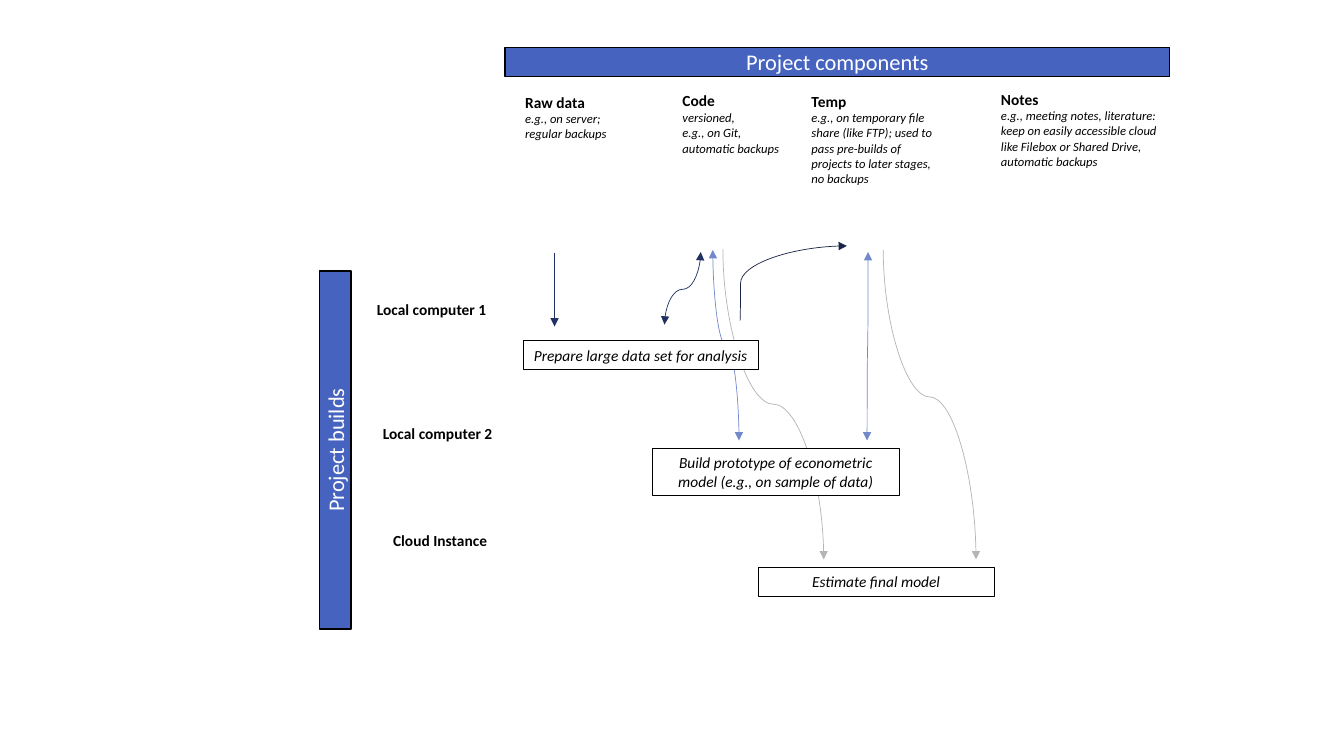
from lxml import etree
from pptx import Presentation
from pptx.dml.color import RGBColor
from pptx.enum.shapes import MSO_CONNECTOR as LINK, MSO_SHAPE as SHAPE
from pptx.enum.text import MSO_ANCHOR as ANCHOR, MSO_AUTO_SIZE as FIT, PP_ALIGN as ALIGN
from pptx.oxml.ns import qn
from pptx.util import Inches, Pt

COLORS = {
    "bar": "4563BF", "white": "FFFFFF", "black": "000000",
    "navy": "213161", "midnight": "192446", "blue": "7289CC", "grey": "B5B5B5",
}


def color(name):
    return RGBColor.from_string(COLORS[name])


def add_box(slide, left, top, width, height, fill="white", border=None):
    box = slide.shapes.add_shape(
        SHAPE.RECTANGLE, Inches(left), Inches(top), Inches(width), Inches(height))
    box.shadow.inherit = False
    box.fill.solid()
    box.fill.fore_color.rgb = color(fill)
    if border:
        box.line.color.rgb = color("black")
        box.line.width = Pt(border)
    else:
        box.line.fill.background()
    return box


def write(box, lines, wrap=True, anchor=ANCHOR.TOP, fit=FIT.SHAPE_TO_FIT_TEXT):
    frame = box.text_frame
    frame.word_wrap = wrap
    frame.vertical_anchor = anchor
    frame.auto_size = fit
    for index, (text, size, bold, italic, ink, align) in enumerate(lines):
        line = frame.add_paragraph() if index else frame.paragraphs[0]
        line.text = text
        line.alignment = align
        line.font.name = "Calibri"
        line.font.size = Pt(size)
        line.font.bold = bold
        line.font.italic = italic
        line.font.color.rgb = color(ink)


def heading(text):
    return text, 11, True, False, "black", ALIGN.LEFT


def detail(text):
    return text, 9, False, True, "black", ALIGN.LEFT


def add_bar(slide, title, left, top, width, height):
    bar = add_box(slide, left, top, width, height, "bar", 1)
    write(bar, [(title, 16, False, False, "white", ALIGN.CENTER)],
          anchor=ANCHOR.MIDDLE, fit=FIT.NONE)
    if height > width:
        bar.text_frame._txBody.bodyPr.set("vert", "vert270")


def add_components(slide, left, top, width):
    add_bar(slide, "Project components", left, top, width, 0.29)
    columns = [
        (0.1, 0.4, 1.02, 0.59, False, "Raw data",
         ["e.g., on server;", "regular backups"]),
        (1.66, 0.39, 1.17, 0.74, False, "Code",
         ["versioned,", "e.g., on Git,", "automatic backups"]),
        (2.94, 0.39, 1.4, 1.08, False, "Temp",
         ["e.g., on temporary file", "share (like FTP); used to", "pass pre-builds of",
          "projects to later stages,", "no backups"]),
        (4.82, 0.37, 1.76, 0.89, True, "Notes",
         ["e.g., meeting notes, literature: keep on easily accessible cloud",
          "like Filebox or Shared Drive,", "automatic backups"]),
    ]
    for x, y, column_width, height, wrap, title, details in columns:
        column = add_box(slide, left + x, top + y, column_width, height)
        write(column, [heading(title)] + [detail(text) for text in details], wrap)


def add_builds(slide, left, top, height):
    add_bar(slide, "Project builds", left, top, 0.31, height)
    machines = [(0.47, 0.24, 1.3, "Local computer 1"),
                (0.53, 1.47, 1.3, "Local computer 2"),
                (0.63, 2.53, 1.14, "Cloud Instance")]
    for x, y, width, name in machines:
        write(add_box(slide, left + x, top + y, width, 0.29), [heading(name)], False)


def style_arrow(arrow, ink, both_ends):
    arrow.line.color.rgb = color(ink)
    arrow.line.width = Pt(0.5)
    if both_ends:
        etree.SubElement(arrow.line._ln, qn("a:headEnd"), type="triangle")
    etree.SubElement(arrow.line._ln, qn("a:tailEnd"), type="triangle")
    etree.SubElement(arrow._element.spPr, qn("a:effectLst"))


def add_arrow(slide, kind, x1, y1, x2, y2, ink, both_ends=False, bend=None):
    arrow = slide.shapes.add_connector(
        kind, Inches(x1), Inches(y1), Inches(x2), Inches(y2))
    if bend is not None:
        guides = arrow._element.spPr.find(qn("a:prstGeom")).find(qn("a:avLst"))
        etree.SubElement(guides, qn("a:gd"), name="adj1", fmla=f"val {round(bend * 100000)}")
    style_arrow(arrow, ink, both_ends)
    return arrow


def add_falling_curve(slide, x1, y1, x2, y2, ink, both_ends, bend):
    middle_x, middle_y = (x1 + x2) / 2, (y1 + y2) / 2
    half_run, half_rise = (y2 - y1) / 2, abs(x2 - x1) / 2
    rightward = x2 > x1
    start = half_run if rightward else -half_run
    curve = add_arrow(slide, LINK.CURVE, middle_x + start, middle_y - half_rise,
                      middle_x - start, middle_y + half_rise, ink, both_ends, bend)
    turn = 270 if rightward else 90
    curve._element.spPr.find(qn("a:xfrm")).set("rot", str(turn * 60000))


def add_flow(slide, left, top):
    curves = [
        (1.98, 0.03, 2.98, 3.11, "grey", False, 0.5),
        (1.76, 0.06, 1.4, 0.78, "navy", True, 0.514),
        (3.42, 0.06, 3.41, 1.93, "blue", True, 0.5),
        (1.88, 0.04, 2.14, 1.93, "blue", True, 0.5),
        (3.57, 0.04, 4.49, 3.11, "grey", False, 0.475),
    ]
    for x1, y1, x2, y2, ink, both_ends, bend in curves:
        add_falling_curve(slide, left + x1, top + y1, left + x2, top + y2,
                          ink, both_ends, bend)
    add_arrow(slide, LINK.STRAIGHT, left + 0.31, top + 0.07, left + 0.31, top + 0.8, "navy")
    add_arrow(slide, LINK.CURVE, left + 2.15, top + 0.74, left + 3.21, top,
              "midnight", bend=0.005)
    steps = [
        (0, 0.94, 2.33, 0.29, False, "Prepare large data set for analysis"),
        (1.28, 2.01, 2.45, 0.47, True,
         "Build prototype of econometric model (e.g., on sample of data)"),
        (2.33, 3.19, 2.34, 0.29, True, "Estimate final model"),
    ]
    for x, y, width, height, wrap, task in steps:
        step = add_box(slide, left + x, top + y, width, height, border=0.75)
        write(step, [(task, 11, False, True, "black", ALIGN.CENTER)], wrap)


def main():
    deck = Presentation()
    deck.slide_width, deck.slide_height = Inches(13.33), Inches(7.5)
    slide = deck.slides.add_slide(deck.slide_layouts[6])
    add_components(slide, 5.01, 0.47, 6.59)
    add_builds(slide, 3.17, 2.69, 3.55)
    add_flow(slide, 5.19, 2.44)
    deck.save("out.pptx")


if __name__ == "__main__":
    main()
